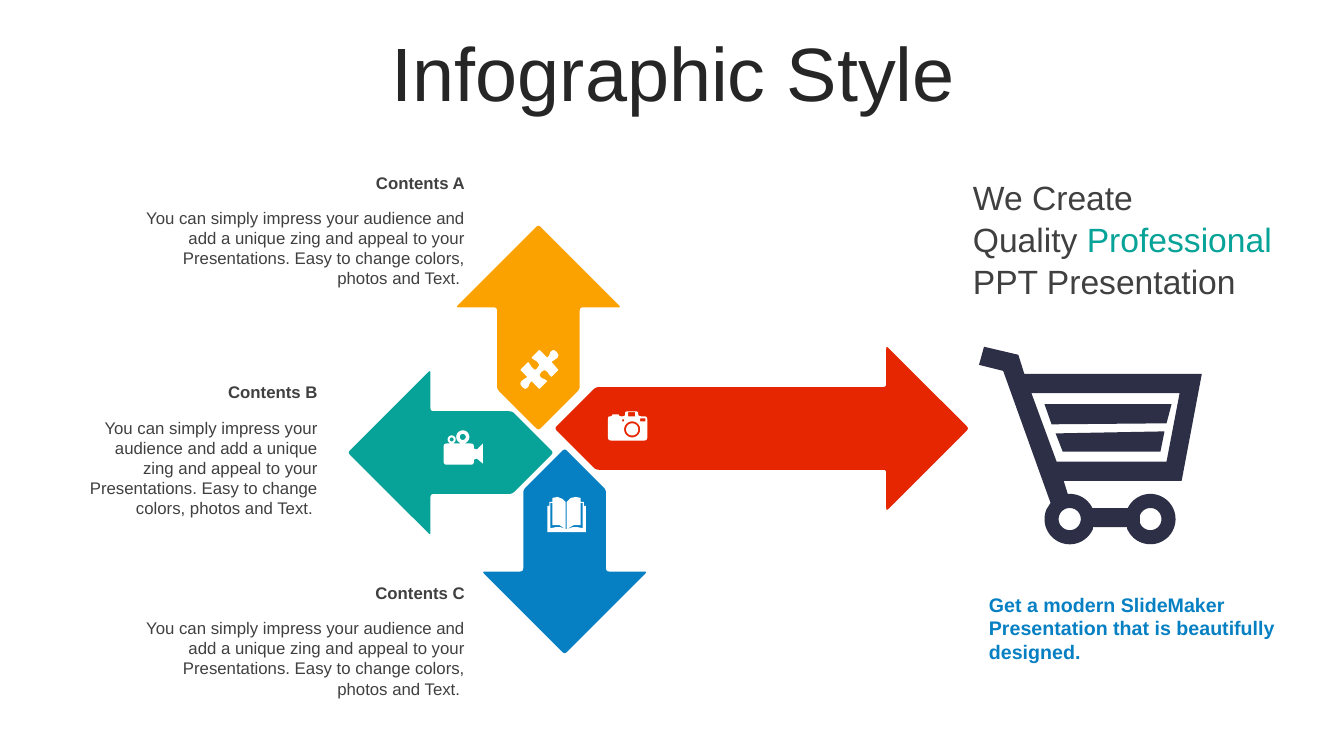
"""Build the arrow infographic slide with three content blocks and a cart."""
from math import cos, dist, radians, sin

from pptx import Presentation
from pptx.dml.color import RGBColor
from pptx.enum.text import MSO_ANCHOR, MSO_AUTO_SIZE, PP_ALIGN
from pptx.util import Inches, Pt

FONT = "Arial"
DARK, GRAY, NAVY, WHITE = "262626", "404040", "2C2F45", "FFFFFF"
TEAL, ORANGE, BLUE, RED = "07A398", "FBA200", "0680C3", "E62601"

TITLE = "Infographic Style"
BODY = ("You can simply impress your audience and add a unique zing and appeal to your "
        "Presentations. Easy to change colors, photos and Text. ")
BLOCKS = [
    ("Contents C", 1.34, 5.73, 3.37, 0.91),
    ("Contents B", 0.72, 3.74, 2.53, 1.11),
    ("Contents A", 1.34, 1.66, 3.37, 0.91),
]
HEADLINE = [[("We Create", GRAY)],
            [("Quality ", GRAY), ("Professional", TEAL)],
            [("PPT Presentation", GRAY)]]
TAGLINE = "Get a modern SlideMaker Presentation that is beautifully designed."

ARROWS = [
    ((3.45, 4.49), (-1, 0), 2.04, TEAL),
    ((5.34, 2.23), (0, -1), 2.04, ORANGE),
    ((5.6, 6.49), (0, 1), 2.04, BLUE),
    ((9.61, 4.25), (1, 0), 4.11, RED),
]
HALF_HEAD, HALF_BODY = 0.82, 0.41

VIDEO_LENS = [(4.7, 4.45), (4.73, 4.46), (4.79, 4.4), (4.79, 4.6), (4.73, 4.55), (4.7, 4.56)]
PUZZLE = [
    (5.52, 3.49), (5.54, 3.52), (5.53, 3.55), (5.5, 3.57), (5.47, 3.59), (5.54, 3.67),
    (5.47, 3.74), (5.45, 3.72), (5.43, 3.69), (5.4, 3.67), (5.37, 3.69), (5.35, 3.72),
    (5.37, 3.75), (5.4, 3.76), (5.43, 3.78), (5.35, 3.86), (5.27, 3.78), (5.25, 3.81),
    (5.24, 3.84), (5.21, 3.86), (5.18, 3.84), (5.16, 3.81), (5.17, 3.78), (5.2, 3.76),
    (5.23, 3.74), (5.16, 3.67), (5.24, 3.59), (5.26, 3.62), (5.28, 3.65), (5.31, 3.67),
    (5.33, 3.65), (5.35, 3.62), (5.33, 3.59), (5.3, 3.57), (5.27, 3.55), (5.35, 3.47),
    (5.43, 3.55), (5.45, 3.52), (5.46, 3.49), (5.49, 3.47)]
BOOK = [
    (5.61, 5.25), (5.62, 5.25), (5.68, 5.23), (5.73, 5.23), (5.78, 5.24), (5.78, 4.99),
    (5.76, 4.99), (5.76, 5.21), (5.69, 5.21), (5.62, 5.25), (5.62, 4.98), (5.66, 4.94),
    (5.71, 4.93), (5.76, 4.94), (5.76, 4.98), (5.79, 4.98), (5.79, 5.02), (5.81, 5.02),
    (5.81, 5.28), (5.43, 5.28), (5.43, 5.02), (5.45, 5.02), (5.45, 4.98), (5.48, 4.98),
    (5.48, 4.94), (5.53, 4.93), (5.58, 4.95), (5.61, 4.98), (5.61, 5.25), (5.55, 5.21),
    (5.48, 5.21), (5.48, 4.99), (5.46, 4.99), (5.46, 5.24), (5.51, 5.23), (5.56, 5.23)]
CAMERA = [(6.03, 4.13), (6.07, 4.13), (6.07, 4.11), (6.14, 4.11), (6.14, 4.13), (6.2, 4.13),
          (6.2, 4.08), (6.33, 4.08), (6.33, 4.13), (6.42, 4.13), (6.42, 4.37), (6.03, 4.37)]
CART_TOP = [(9.76, 3.44), (10.1, 3.52), (10.16, 3.71), (11.92, 3.71), (11.72, 4.77),
            (10.55, 4.77), (10.59, 4.9)]
CART_HANDLE = [(10.42, 4.99), (9.95, 3.68), (9.71, 3.62)]
BASKET = [(10.23, 3.9), (10.48, 4.58), (11.57, 4.58), (11.7, 3.9)]
BARS = [[(10.36, 4.01), (11.62, 4.01), (11.57, 4.2), (10.43, 4.21)],
        [(10.47, 4.3), (11.55, 4.28), (11.51, 4.48), (10.54, 4.48)]]
LEFT_WHEEL, RIGHT_WHEEL = (10.61, 5.15), (11.41, 5.15)


def rgb(color):
    return RGBColor.from_string(color)


def arc(center, radius, start=0, end=360, steps=36):
    angles = [radians(start + (end - start) * i / steps) for i in range(steps + 1)]
    return [(center[0] + radius * cos(a), center[1] + radius * sin(a)) for a in angles]


def box(left, top, right, bottom):
    return [(left, top), (right, top), (right, bottom), (left, bottom)]


def rounded(points, radius=0.03, steps=4):
    result = []
    for i, corner in enumerate(points):
        ends = []
        for other in (points[i - 1], points[(i + 1) % len(points)]):
            k = min(radius / dist(corner, other), 0.4)
            ends.append([c + k * (o - c) for c, o in zip(corner, other)])
        for t in (n / steps for n in range(steps + 1)):
            result.append(tuple((1 - t) ** 2 * a + 2 * t * (1 - t) * c + t * t * b
                                for a, c, b in zip(ends[0], corner, ends[1])))
    return result


def arrow(tip, direction, length):
    (x, y), (dx, dy) = tip, direction
    side = [(HALF_HEAD, HALF_HEAD), (HALF_HEAD, HALF_BODY), (length - HALF_BODY, HALF_BODY)]
    profile = [(0, 0), *side, (length, 0), *[(b, -w) for b, w in reversed(side)]]
    return rounded([(x - dx * b - dy * w, y - dy * b + dx * w) for b, w in profile])


def add_outline(s, color, *contours):
    builder = None
    for contour in contours:
        pts = [(Inches(x), Inches(y)) for x, y in contour]
        if builder is None:
            builder = s.shapes.build_freeform(*pts[0])
        else:
            builder.move_to(*pts[0])
        builder.add_line_segments(pts[1:], close=True)
    shape = builder.convert_to_shape()
    shape.shadow.inherit = False
    shape.fill.solid()
    shape.fill.fore_color.rgb = rgb(color)
    shape.line.fill.background()


def add_run(p, text, size, color, bold=False):
    r = p.add_run()
    r.text = text
    r.font.name, r.font.size, r.font.bold = FONT, Pt(size), bold
    r.font.color.rgb = rgb(color)


def add_text(s, lines, at, size=12, color=GRAY, bold=False, align=PP_ALIGN.LEFT,
             spacing=None, insets=(0.1, 0.05)):
    tf = s.shapes.add_textbox(*map(Inches, at)).text_frame
    tf.word_wrap = True
    tf.auto_size = MSO_AUTO_SIZE.SHAPE_TO_FIT_TEXT
    tf.margin_left = tf.margin_right = Inches(insets[0])
    tf.margin_top = tf.margin_bottom = Inches(insets[1])
    for i, runs in enumerate([[(lines, color)]] if isinstance(lines, str) else lines):
        p = tf.add_paragraph() if i else tf.paragraphs[0]
        p.alignment = align
        p.line_spacing = spacing
        for text, tint in runs:
            add_run(p, text, size, tint, bold)


def add_title(s):
    title = s.shapes.title
    title.left, title.top, title.width, title.height = map(Inches, (0.35, 0.37, 12.66, 0.79))
    tf = title.text_frame
    tf.vertical_anchor = MSO_ANCHOR.MIDDLE
    tf.auto_size = MSO_AUTO_SIZE.NONE
    p = tf.paragraphs[0]
    p.alignment, p.line_spacing = PP_ALIGN.CENTER, 0.9
    add_run(p, TITLE, 54, DARK)


def add_icons(s):
    add_outline(s, WHITE, rounded(box(4.4, 4.4, 4.7, 4.61)), VIDEO_LENS,
                arc((4.59, 4.335), 0.065), arc((4.59, 4.335), 0.03),
                arc((4.48, 4.36), 0.04), arc((4.48, 4.36), 0.02))
    add_outline(s, WHITE, rounded(PUZZLE, 0.01))
    add_outline(s, WHITE, BOOK)
    add_outline(s, WHITE, rounded(CAMERA), arc((6.27, 4.26), 0.08), arc((6.27, 4.26), 0.06),
                box(6.17, 4.16, 6.19, 4.18), box(6.35, 4.15, 6.4, 4.18),
                box(6.23, 4.09, 6.3, 4.13))


def add_cart(s):
    frame = (CART_TOP + arc(LEFT_WHEEL, 0.25, -90, -26) + arc(RIGHT_WHEEL, 0.25, 206, 517)
             + [(11.18, 5.23), (10.84, 5.23)] + arc(LEFT_WHEEL, 0.25, 23, 203) + CART_HANDLE)
    add_outline(s, NAVY, frame, BASKET, *BARS, arc(LEFT_WHEEL, 0.11),
                arc(RIGHT_WHEEL, 0.11, -160, 160))


def main():
    prs = Presentation()
    prs.slide_width, prs.slide_height = Inches(13.33), Inches(7.5)
    s = prs.slides.add_slide(prs.slide_layouts[5])
    add_title(s)
    for tip, direction, length, color in ARROWS:
        add_outline(s, color, arrow(tip, direction, length))
    add_icons(s)
    for heading, left, top, width, height in BLOCKS:
        add_text(s, heading, (left, top, width, 0.3), bold=True, align=PP_ALIGN.RIGHT)
        add_text(s, BODY, (left, top + 0.35, width, height), align=PP_ALIGN.RIGHT)
    add_cart(s)
    add_text(s, HEADLINE, (9.61, 1.74, 3.17, 1.26), size=24, spacing=Pt(30), insets=(0.04, 0))
    add_text(s, TAGLINE, (9.71, 5.83, 3.37, 0.81), size=14, color=BLUE, bold=True)
    prs.save("out.pptx")


if __name__ == "__main__":
    main()
